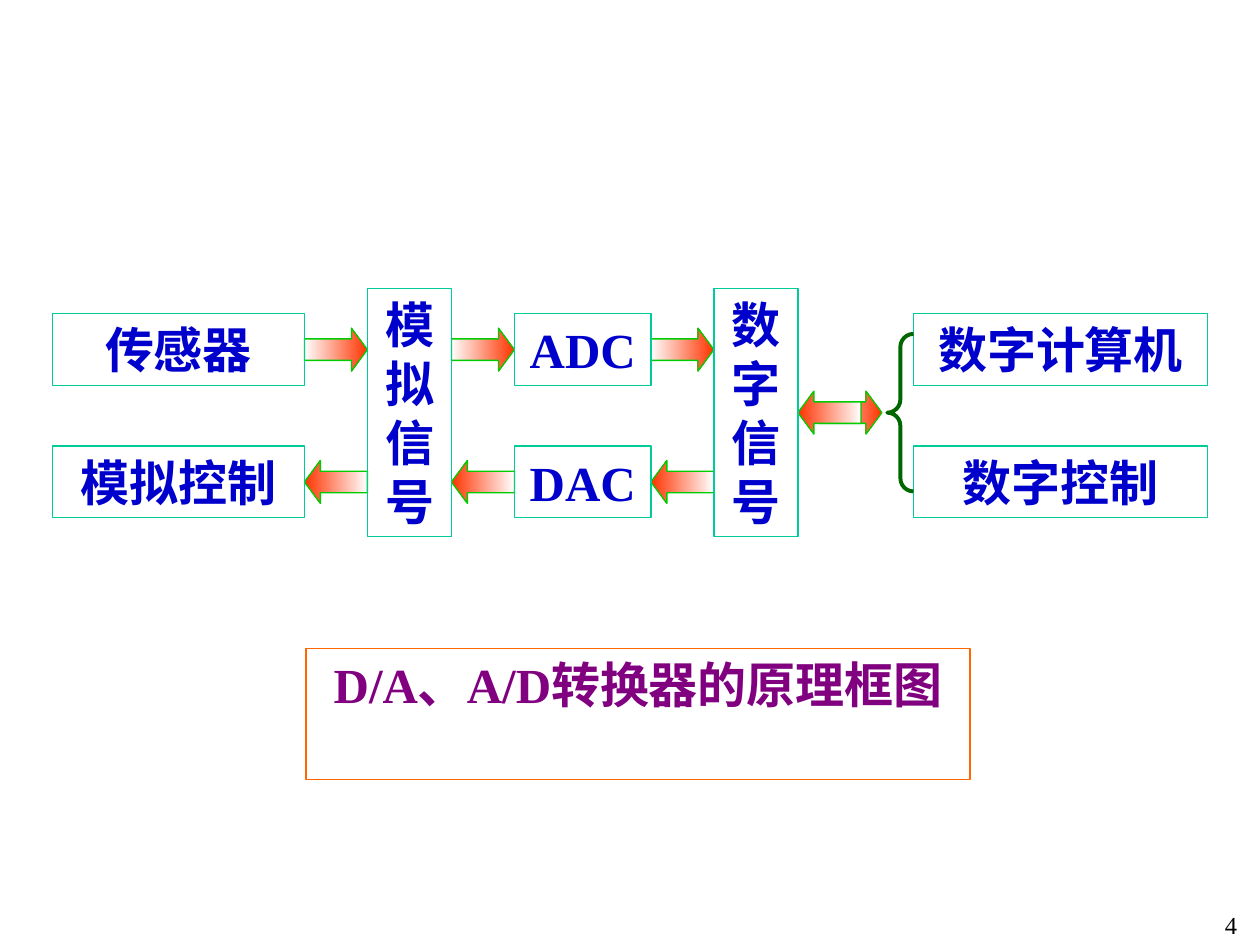
"""Builds a block diagram slide of D/A and A/D conversion."""
from dataclasses import dataclass

from pptx import Presentation
from pptx.dml.color import RGBColor
from pptx.enum.shapes import MSO_SHAPE
from pptx.enum.text import MSO_ANCHOR, MSO_AUTO_SIZE, PP_ALIGN
from pptx.util import Inches, Pt

RECTANGLE, ARROW, BRACE = MSO_SHAPE.RECTANGLE, MSO_SHAPE.RIGHT_ARROW, MSO_SHAPE.LEFT_BRACE
TOP, MIDDLE = MSO_ANCHOR.TOP, MSO_ANCHOR.MIDDLE
GROW, CENTER = MSO_AUTO_SIZE.SHAPE_TO_FIT_TEXT, PP_ALIGN.CENTER

BLUE = RGBColor(0x00, 0x00, 0xCC)
TEAL = RGBColor(0x00, 0xCC, 0x99)
GREEN = RGBColor(0x00, 0xCC, 0x00)
DARK_GREEN = RGBColor(0x00, 0x66, 0x00)
RED = RGBColor(0xFF, 0x33, 0x00)
ORANGE = RGBColor(0xFF, 0x66, 0x00)
PURPLE = RGBColor(0x80, 0x00, 0x80)
WHITE = RGBColor(0xFF, 0xFF, 0xFF)
BLACK = RGBColor(0x00, 0x00, 0x00)

FONT = "Times New Roman"
CELL = Inches(1) / 12
UPPER, CENTRE, LOWER = 33.3, 39.3, 45.9
LOW, TALL, ARROW_HEIGHT = 6.84, 23.64, 4.1


@dataclass(frozen=True)
class Area:
    """Grid area given by left column, centre row, width and height."""
    column: float
    row: float
    columns: float
    rows: float

    def lengths(self) -> list[int]:
        """Return left, top, width and height."""
        cells = (self.column, self.row - self.rows / 2, self.columns, self.rows)
        return [round(cell * CELL) for cell in cells]


@dataclass(frozen=True)
class Block:
    """Framed label of the diagram."""
    text: str
    area: Area
    line: RGBColor = TEAL
    color: RGBColor = BLUE


@dataclass(frozen=True)
class Flow:
    """Signal arrow, pointing right unless reversed."""
    column: float
    row: float
    reversed: bool = False


BLOCKS = [
    Block("传感器", Area(5, UPPER, 24, LOW)),
    Block("模拟控制", Area(5, LOWER, 24, LOW)),
    Block("模拟信号", Area(35, CENTRE, 8, TALL)),
    Block("ADC", Area(49, UPPER, 13, LOW)),
    Block("DAC", Area(49, LOWER, 13, LOW)),
    Block("数字信号", Area(68, CENTRE, 8, TALL)),
    Block("数字计算机", Area(87, UPPER, 28, LOW)),
    Block("数字控制", Area(87, LOWER, 28, LOW)),
    Block("D/A、A/D转换器的原理框图", Area(29.16, 68, 63.24, 12.48), ORANGE, PURPLE),
]
FLOWS = [
    Flow(column, row, row == LOWER) for column in (29, 43, 62) for row in (UPPER, LOWER)
] + [Flow(78, CENTRE), Flow(76, CENTRE, True)]


def add_outline(slide, kind, area: Area, color: RGBColor, width: float = 0.75):
    """Add an unfilled shape with a coloured line."""
    shape = slide.shapes.add_shape(kind, *area.lengths())
    shape.shadow.inherit = False
    shape.fill.background()
    shape.line.color.rgb = color
    shape.line.width = Pt(width)
    return shape


def write(frame, text: str, size: float, color: RGBColor, bold: bool) -> None:
    """Write one centred run into a text frame."""
    frame.word_wrap = True
    para = frame.paragraphs[0]
    para.alignment = CENTER
    span = para.add_run()
    span.text = text
    span.font.name = FONT
    span.font.size = Pt(size)
    span.font.bold = bold
    span.font.color.rgb = color


def add_block(slide, block: Block) -> None:
    """Add a framed label."""
    frame = add_outline(slide, RECTANGLE, block.area, block.line).text_frame
    frame.vertical_anchor = TOP
    frame.auto_size = GROW
    write(frame, block.text, 28, block.color, True)


def add_flow(slide, flow: Flow) -> None:
    """Add an arrow that fades from white at its tail to red at its head."""
    area = Area(flow.column, flow.row, 6, ARROW_HEIGHT)
    arrow = add_outline(slide, ARROW, area, GREEN)
    arrow.adjustments[0] = 0.5
    arrow.adjustments[1] = 0.37
    arrow.fill.gradient()
    arrow.fill.gradient_angle = 180
    for stop, color in zip(arrow.fill.gradient_stops, (RED, WHITE)):
        stop.color.rgb = color
    if flow.reversed:
        arrow.element.spPr.xfrm.set("flipH", "1")


def add_page_number(slide, number: int) -> None:
    """Add the page number in the lower right corner."""
    box = slide.shapes.add_textbox(*Area(114.5, 88.1, 5.5, 4).lengths())
    box.text_frame.vertical_anchor = MIDDLE
    write(box.text_frame, str(number), 14, BLACK, False)


def main() -> None:
    """Build and save the deck."""
    deck = Presentation()
    deck.slide_width, deck.slide_height = Inches(10), Inches(7.5)
    slide = deck.slides.add_slide(deck.slide_layouts[6])
    for flow in FLOWS:
        add_flow(slide, flow)
    for block in BLOCKS:
        add_block(slide, block)
    brace = add_outline(slide, BRACE, Area(84.5, CENTRE, 2.5, 15), DARK_GREEN, 2.25)
    brace.adjustments[0] = 0.5
    add_page_number(slide, 4)
    deck.save("out.pptx")


if __name__ == "__main__":
    main()
